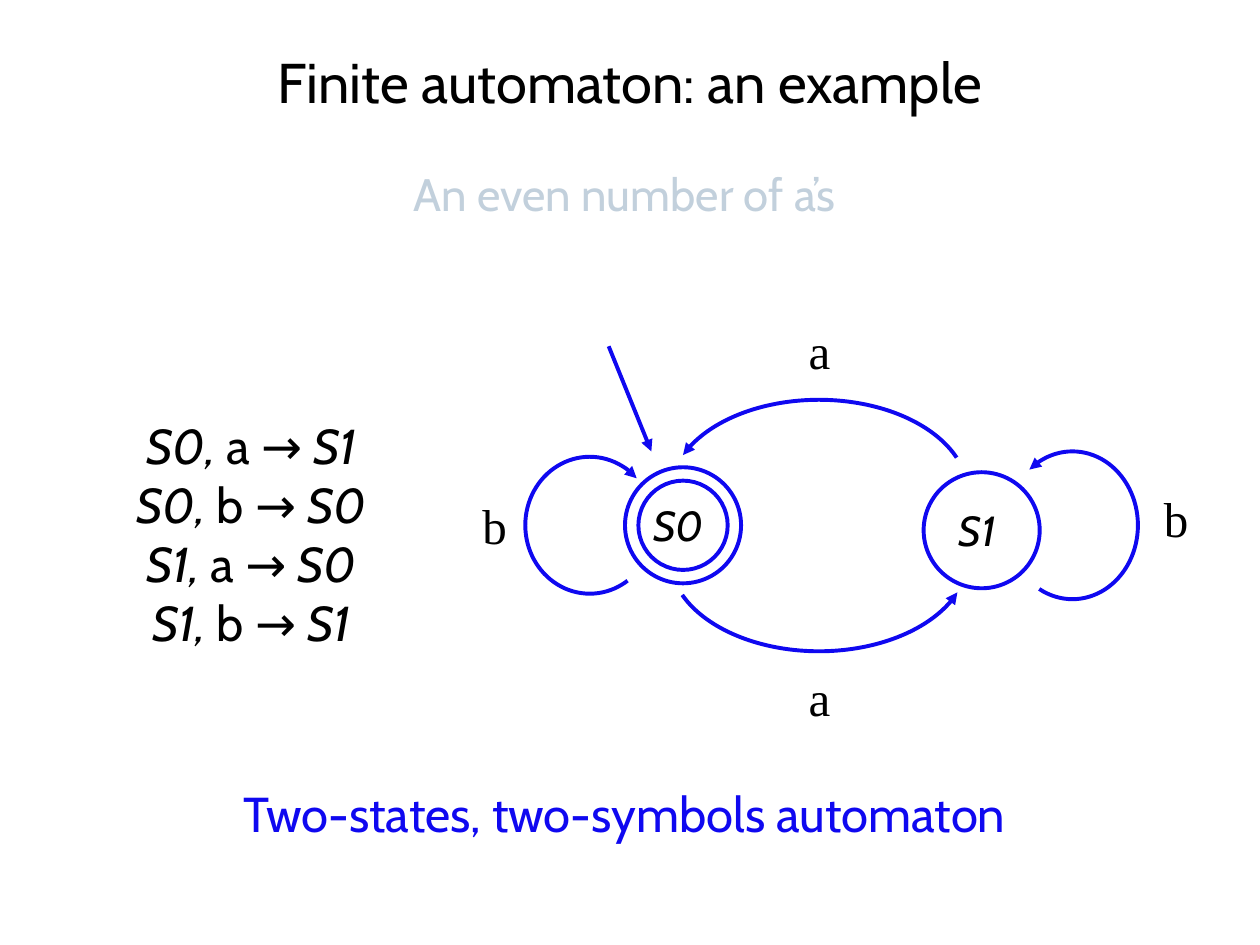
from lxml import etree
from pptx import Presentation
from pptx.dml.color import RGBColor
from pptx.enum.shapes import MSO_CONNECTOR, MSO_SHAPE
from pptx.enum.text import MSO_ANCHOR, MSO_AUTO_SIZE, PP_ALIGN
from pptx.oxml.ns import qn
from pptx.util import Cm, Pt

STRAIGHT = MSO_CONNECTOR.STRAIGHT
ARC, OVAL = MSO_SHAPE.ARC, MSO_SHAPE.OVAL
TOP, NO_AUTOFIT, CENTER = MSO_ANCHOR.TOP, MSO_AUTO_SIZE.NONE, PP_ALIGN.CENTER

BLACK = RGBColor(0x00, 0x00, 0x00)
BLUE = RGBColor(0x0F, 0x08, 0xF0)
PALE = RGBColor(0xC2, 0xD0, 0xDC)
SANS, SERIF = "Cabin", "Times New Roman"

SLIDE_WIDTH, SLIDE_HEIGHT = 25.4, 19.05
TITLE = "Finite automaton: an example"
CAPTIONS = [
    ("An even number of a’s ", 3.23, 1.35, 26, PALE),
    ("Two-states, two-symbols automaton ", 15.67, 1.45, 28, BLUE),
]
TRANSITIONS = [
    ("S0", "a", "S1"),
    ("S0", "b", "S0"),
    ("S1", "a", "S0"),
    ("S1", "b", "S1"),
]
STATES = [
    ("S0", 13.77, 10.59, (2.34, 1.8)),
    ("S1", 19.79, 10.69, (2.34,)),
]
LABEL_SHIFT = 0.09
START_ARROW = (12.27, 6.98, 13.13, 9.1)
# centre x, centre y, radius x, radius y, start angle, end angle, arrowhead
ARCS = [
    (11.89, 10.59, 1.3, 1.38, 55.7, 315, "tailEnd"),
    (21.62, 10.59, 1.32, 1.49, 232.3, 117.5, "headEnd"),
    (16.51, 9.96, 3.01, 1.9, 196, 345.2, "headEnd"),
    (16.51, 11.23, 3.01, 1.9, 14.3, 164.5, "headEnd"),
]
SYMBOLS = [
    ("a", 16.52, 7.07),
    ("b", 9.97, 10.58),
    ("a", 16.52, 14.06),
    ("b", 23.71, 10.45),
]


def centred_box(x, y, width, height):
    return Cm(x - width / 2), Cm(y - height / 2), Cm(width), Cm(height)


def style(paragraph, size, color=BLACK, font=SANS, italic=False):
    paragraph.alignment = CENTER
    paragraph.font.name = font
    paragraph.font.size = Pt(size)
    paragraph.font.color.rgb = color
    paragraph.font.italic = italic


def add_text(slide, text, box, size, **look):
    frame = slide.shapes.add_textbox(*box).text_frame
    frame.word_wrap = True
    frame.text = text
    style(frame.paragraphs[0], size, **look)


def place(placeholder, left, top, width, height):
    placeholder.left, placeholder.top = Cm(left), Cm(top)
    placeholder.width, placeholder.height = Cm(width), Cm(height)
    frame = placeholder.text_frame
    frame.vertical_anchor = TOP
    frame.auto_size = NO_AUTOFIT
    return frame


def draw_line(line, arrowhead=None):
    line.color.rgb = BLUE
    line.width = Pt(2.25)
    if arrowhead:
        etree.SubElement(line._get_or_add_ln(), qn("a:" + arrowhead), type="triangle")


def add_outline(slide, kind, box, arrowhead=None):
    outline = slide.shapes.add_shape(kind, *box)
    outline.shadow.inherit = False
    outline.fill.background()
    draw_line(outline.line, arrowhead)
    return outline


def add_transitions(frame):
    for number, (source, symbol, target) in enumerate(TRANSITIONS):
        paragraph = frame.paragraphs[0] if number == 0 else frame.add_paragraph()
        properties = paragraph._p.get_or_add_pPr()
        properties.set("marL", "0")
        properties.set("indent", "0")
        etree.SubElement(properties, qn("a:buNone"))
        paragraph.space_before = Pt(0)
        style(paragraph, 28)
        for text, italic in ((f"{source}, ", True), (symbol, False), (f" → {target}", True)):
            run = paragraph.add_run()
            run.text = text
            run.font.italic = italic


def main():
    deck = Presentation()
    deck.slide_width, deck.slide_height = Cm(SLIDE_WIDTH), Cm(SLIDE_HEIGHT)
    slide = deck.slides.add_slide(deck.slide_layouts[1])
    title, rules = slide.placeholders

    heading = place(title, 0, 0.84, SLIDE_WIDTH, 1.6)
    heading.text = TITLE
    style(heading.paragraphs[0], 32)
    add_transitions(place(rules, 2.1, 8.25, 5.93, 5))

    for text, top, height, size, color in CAPTIONS:
        add_text(slide, text, (0, Cm(top), Cm(SLIDE_WIDTH), Cm(height)), size, color=color)

    for name, x, y, diameters in STATES:
        for diameter in diameters:
            add_outline(slide, OVAL, centred_box(x, y, diameter, diameter))
        add_text(slide, name, centred_box(x - LABEL_SHIFT, y, 1.7, 1.27), 24, italic=True)

    for x, y, radius_x, radius_y, start, end, arrowhead in ARCS:
        arc = add_outline(slide, ARC, centred_box(x, y, 2 * radius_x, 2 * radius_y), arrowhead)
        arc.adjustments[0] = start * 0.6
        arc.adjustments[1] = end * 0.6

    start_arrow = slide.shapes.add_connector(STRAIGHT, *map(Cm, START_ARROW))
    draw_line(start_arrow.line, "tailEnd")
    etree.SubElement(start_arrow._element.spPr, qn("a:effectLst"))

    for symbol, x, y in SYMBOLS:
        add_text(slide, symbol, centred_box(x, y, 2.57, 1.45), 28, font=SERIF)

    deck.save("out.pptx")


if __name__ == "__main__":
    main()
